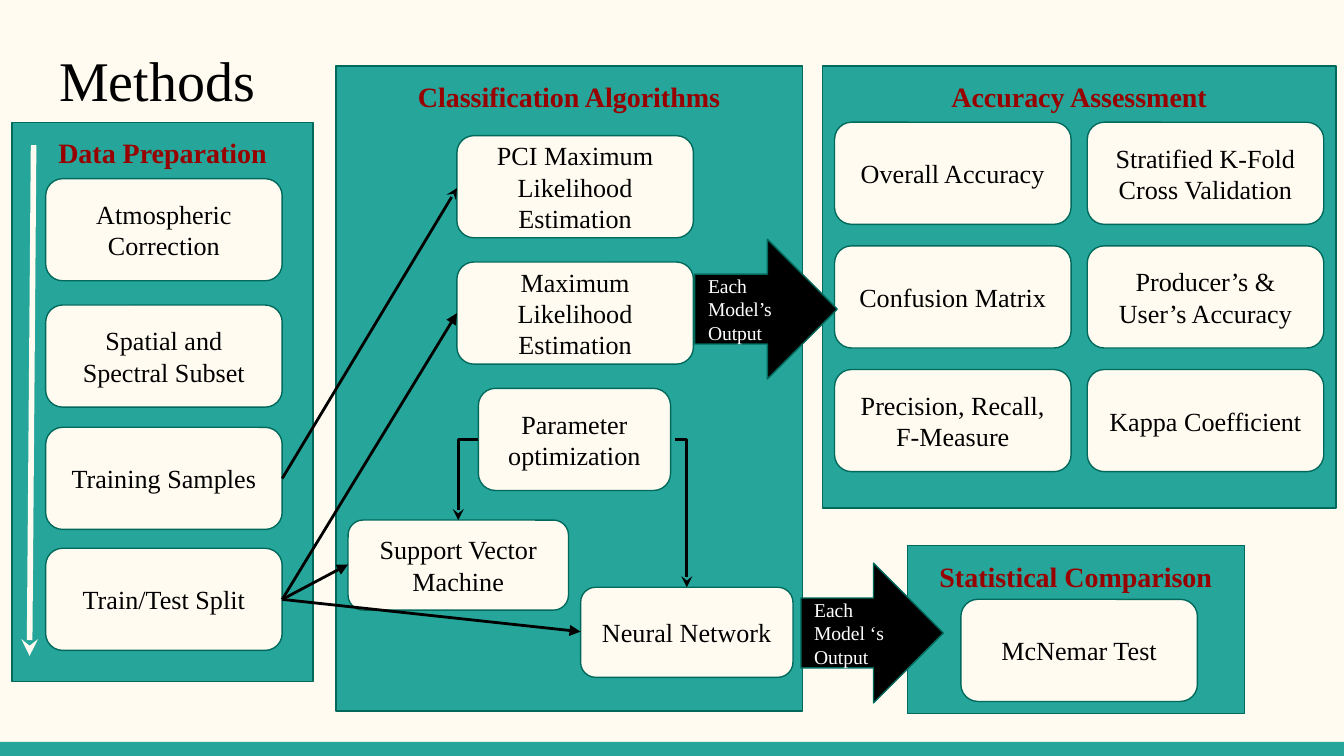
from lxml.etree import SubElement
from pptx import Presentation
from pptx.dml.color import RGBColor
from pptx.enum.shapes import MSO_CONNECTOR as CONN, MSO_SHAPE as SHAPE
from pptx.enum.text import MSO_ANCHOR as ANCHOR, PP_ALIGN as ALIGN
from pptx.oxml.ns import qn
from pptx.util import Inches, Pt

COLORS = {
    "cream": "FFFBF0",
    "teal": "26A69A",
    "edge": "00695C",
    "heading": "980000",
    "black": "000000",
    "white": "FFFFFF",
}
FONT = "Times New Roman"
BOX_W, BOX_H = 1.76, 0.76


def rgb(name):
    """Return the named colour."""
    return RGBColor.from_string(COLORS[name])


def set_text(sp, text, size=14, color="black", bold=False, align=ALIGN.CENTER, anchor=ANCHOR.MIDDLE):
    """Write formatted text into a shape."""
    tf = sp.text_frame
    tf.word_wrap = True
    tf.vertical_anchor = anchor
    tf.margin_left = tf.margin_right = tf.margin_top = tf.margin_bottom = Inches(0.1)
    p = tf.paragraphs[0]
    p.alignment = align
    r = p.add_run()
    r.text = text
    r.font.name = FONT
    r.font.size = Pt(size)
    r.font.bold = bold
    r.font.color.rgb = rgb(color)


def add_shape(slide, kind, x, y, w, h, fill, line="edge"):
    """Add a flat filled shape, outlined unless line is None."""
    sp = slide.shapes.add_shape(kind, Inches(x), Inches(y), Inches(w), Inches(h))
    sp.shadow.inherit = False
    sp.fill.solid()
    sp.fill.fore_color.rgb = rgb(fill)
    if line:
        sp.line.color.rgb = rgb(line)
        sp.line.width = Pt(0.75)
    else:
        sp.line.fill.background()
    return sp


def add_panel(slide, x, y, w, h, heading):
    """Add a teal panel with its heading at the top."""
    sp = add_shape(slide, SHAPE.RECTANGLE, x, y, w, h, "teal")
    set_text(sp, heading, size=15, color="heading", bold=True, anchor=ANCHOR.TOP)


def add_box(slide, x, y, text, w=BOX_W, h=BOX_H):
    """Add a rounded step box."""
    sp = add_shape(slide, SHAPE.FLOWCHART_ALTERNATE_PROCESS, x, y, w, h, "cream")
    set_text(sp, text)


def add_arrow(slide, start, end, head="triangle", color="black", width=1.5, bent=False):
    """Add a straight arrow, or one that runs across and then down."""
    points = [Inches(v) for v in (*start, *end)]
    c = slide.shapes.add_connector(CONN.ELBOW if bent else CONN.STRAIGHT, *points)
    c.line.color.rgb = rgb(color)
    c.line.width = Pt(width)
    sp_pr = c._element.spPr
    if bent:
        sp_pr.find(qn("a:prstGeom")).set("prst", "bentConnector2")
    SubElement(sp_pr.find(qn("a:ln")), qn("a:tailEnd"), type=head)
    SubElement(sp_pr, qn("a:effectLst"))


def add_output_arrow(slide, x, y, text):
    """Add a black block arrow with its label."""
    sp = add_shape(slide, SHAPE.RIGHT_ARROW, x, y, 1.06, 1.04, "black")
    set_text(sp, text, size=10.5, color="white", align=ALIGN.LEFT)


def add_title(slide, x, y, w, h, text):
    """Place and format the title placeholder."""
    sp = slide.shapes.title
    sp.left, sp.top, sp.width, sp.height = (Inches(v) for v in (x, y, w, h))
    set_text(sp, text, size=30, align=ALIGN.LEFT, anchor=ANCHOR.TOP)


def data_preparation(slide, x, y, w, h):
    """Build the column of preparation steps."""
    add_panel(slide, x, y, w, h, "Data Preparation")
    steps = [
        (0.42, "Atmospheric Correction"),
        (1.36, "Spatial and Spectral Subset"),
        (2.27, "Training Samples"),
        (3.17, "Train/Test Split"),
    ]
    for dy, text in steps:
        add_box(slide, x + 0.25, y + dy, text)
    add_arrow(slide, (x + 0.16, y + 0.17), (x + 0.13, y + 3.97), "stealth", "cream", 3)


def classification(slide, x, y, w, h):
    """Build the panel of algorithms and its tuning branches."""
    add_panel(slide, x, y, w, h, "Classification Algorithms")
    add_box(slide, x + 0.9, y + 0.52, "PCI Maximum Likelihood Estimation")
    add_box(slide, x + 0.9, y + 1.46, "Maximum Likelihood Estimation")
    add_box(slide, x + 1.06, y + 2.4, "Parameter optimization", w=1.43)
    add_box(slide, x + 0.09, y + 3.38, "Support Vector Machine", w=1.64, h=0.67)
    add_box(slide, x + 1.82, y + 3.88, "Neural Network", w=1.58, h=0.67)
    branch_y = y + 2.78
    add_arrow(slide, (x + 1.06, branch_y), (x + 0.91, y + 3.38), "stealth", bent=True)
    add_arrow(slide, (x + 2.52, branch_y), (x + 2.61, y + 3.88), "stealth", bent=True)


def accuracy(slide, x, y, w, h):
    """Build the two-column grid of accuracy measures."""
    add_panel(slide, x, y, w, h, "Accuracy Assessment")
    measures = [
        "Overall Accuracy", "Stratified K-Fold Cross Validation",
        "Confusion Matrix", "Producer’s & User’s Accuracy",
        "Precision, Recall, F-Measure", "Kappa Coefficient",
    ]
    for i, text in enumerate(measures):
        row, col = divmod(i, 2)
        add_box(slide, x + 0.09 + col * 1.88, y + 0.42 + row * 0.92, text)


def comparison(slide, x, y, w, h):
    """Build the statistical test panel."""
    add_panel(slide, x, y, w, h, "Statistical Comparison")
    add_box(slide, x + 0.4, y + 0.4, "McNemar Test")


def links(slide):
    """Join the prepared data to the algorithms and these to the results."""
    samples, split = (2.1, 3.56), (2.1, 4.46)
    add_arrow(slide, samples, (3.4, 1.4), "stealth")
    for end in [(3.4, 2.33), (2.59, 4.2), (4.32, 4.7)]:
        add_arrow(slide, split, end)
    add_output_arrow(slide, 5.17, 1.78, "Each Model’s Output")
    add_output_arrow(slide, 5.96, 4.19, "Each Model ‘s Output")


def main():
    """Build and save the slide."""
    prs = Presentation()
    prs.slide_width = Inches(10)
    prs.slide_height = prs.slide_width * 9 // 16
    slide = prs.slides.add_slide(prs.slide_layouts[5])
    slide.background.fill.solid()
    slide.background.fill.fore_color.rgb = rgb("cream")
    add_shape(slide, SHAPE.RECTANGLE, 0, 5.52, 10, 0.11, "teal", line=None)
    add_title(slide, 0.34, 0.24, 9.32, 0.67, "Methods")
    comparison(slide, 6.75, 4.06, 2.51, 1.25)
    classification(slide, 2.5, 0.49, 3.47, 4.8)
    data_preparation(slide, 0.09, 0.91, 2.24, 4.16)
    accuracy(slide, 6.12, 0.49, 3.82, 3.29)
    links(slide)
    prs.save("out.pptx")


if __name__ == "__main__":
    main()
